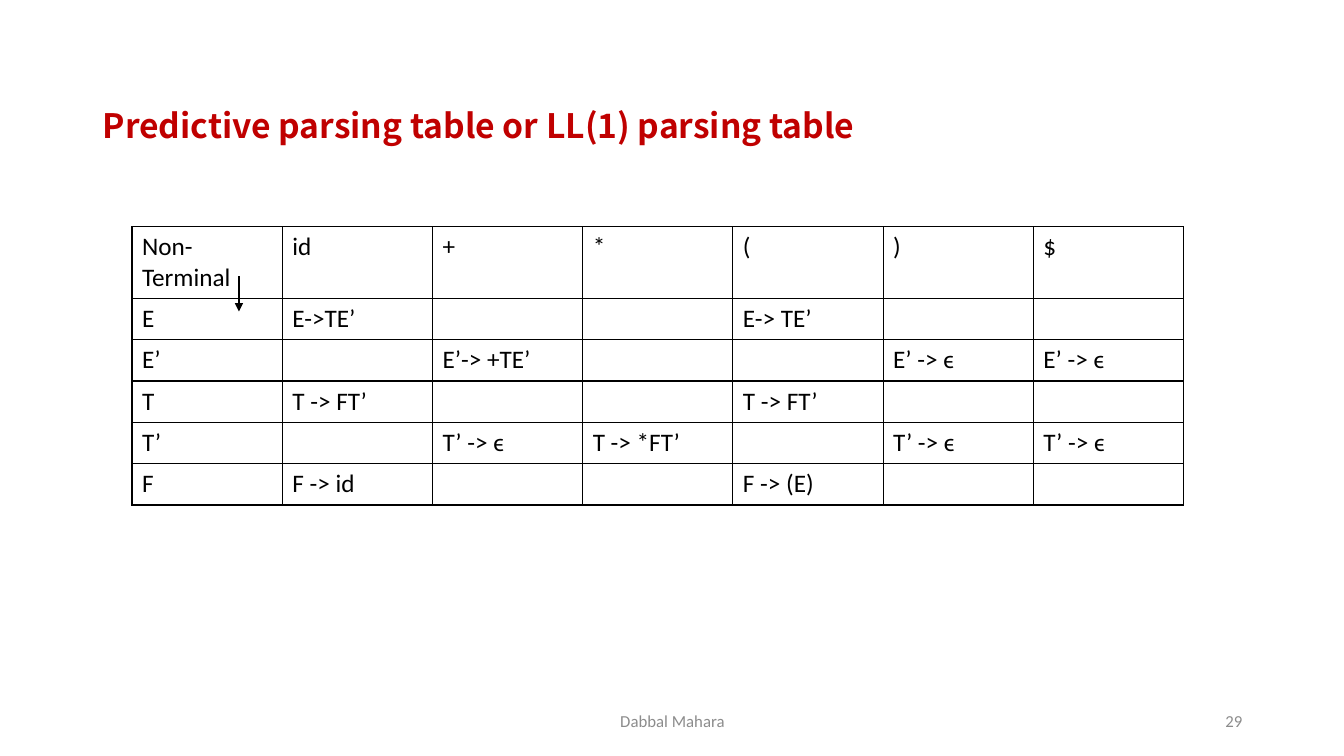
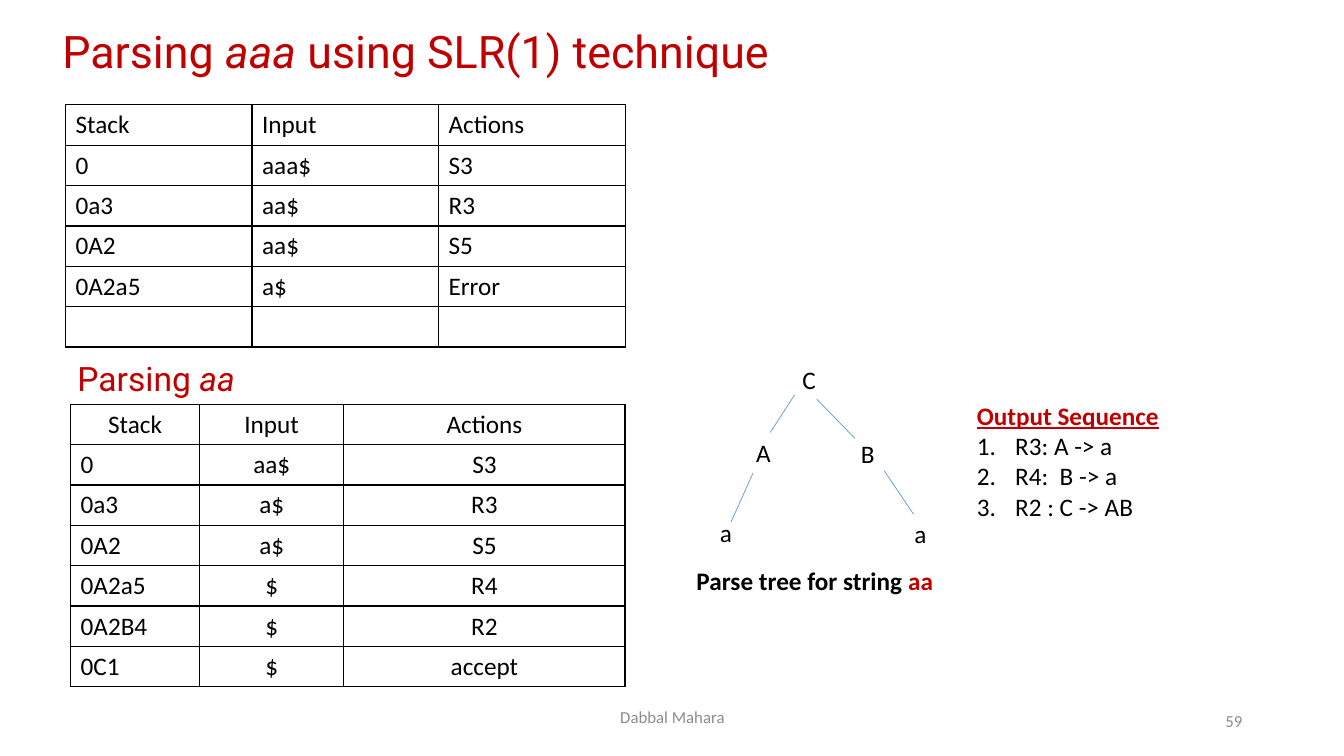
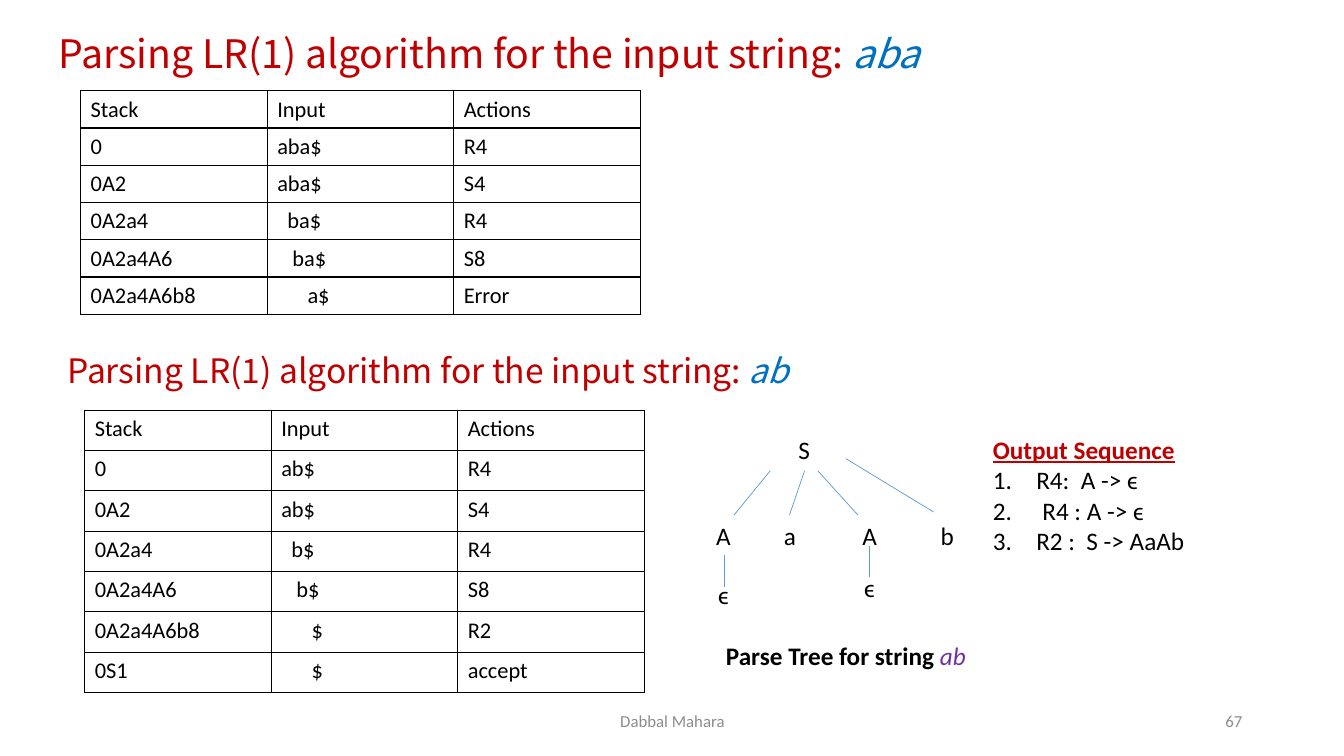
"""Build three slides on predictive, SLR(1) and LR(1) parsing."""
from dataclasses import dataclass, field

from lxml import etree
from pptx import Presentation
from pptx.dml.color import RGBColor
from pptx.enum.shapes import MSO_CONNECTOR
from pptx.enum.text import MSO_ANCHOR, PP_ALIGN
from pptx.oxml.ns import qn
from pptx.shapes.shapetree import GroupShapes, SlideShapes
from pptx.slide import Slide
from pptx.util import Inches, Pt

LEFT, CENTER, RIGHT = PP_ALIGN.LEFT, PP_ALIGN.CENTER, PP_ALIGN.RIGHT
TOP, MIDDLE = MSO_ANCHOR.TOP, MSO_ANCHOR.MIDDLE
STRAIGHT = MSO_CONNECTOR.STRAIGHT

BLACK, WHITE, RED = "000000", "FFFFFF", "C00000"
BLUE, PURPLE, GREY, BRANCH = "0070C0", "7030A0", "8C8C8C", "5B9BD5"
BODY, HEADING, ROBOTO = "Calibri", "Noto Sans CJK SC", "Roboto"
AUTHOR = "Dabbal Mahara"
TRACE_HEADER = ("Stack", "Input", "Actions")
TRACE_COLUMNS = (1.85,) * 3
LIST_INDENT = 0.38

Box = tuple[float, float, float, float]
Line = tuple[float, float, float, float]
Shapes = SlideShapes | GroupShapes


@dataclass(frozen=True)
class Run:
    text: str
    color: str = BLACK
    bold: bool = False
    italic: bool = False
    underline: bool = False


@dataclass(frozen=True)
class Style:
    font: str = BODY
    size: float = 18
    align: PP_ALIGN = LEFT
    anchor: MSO_ANCHOR = TOP
    spacing: float = 1.0


@dataclass(frozen=True)
class Grid:
    left: float
    top: float
    columns: tuple[float, ...]
    heights: tuple[float, ...]
    rows: tuple[tuple[str, ...], ...]
    size: float = 18
    header_align: PP_ALIGN = LEFT
    aligns: tuple[PP_ALIGN, ...] = ()
    input_indents: dict[int, float] = field(default_factory=dict)


@dataclass(frozen=True)
class Node:
    label: str
    left: float
    top: float


@dataclass(frozen=True)
class Tree:
    nodes: tuple[Node, ...]
    branches: tuple[Line, ...]
    node_width: float
    align: PP_ALIGN


@dataclass(frozen=True)
class Step:
    text: str
    indent: float = LIST_INDENT


def rgb(color: str) -> RGBColor:
    """Turn a hex string into a colour."""
    return RGBColor.from_string(color)


def write(paragraph, runs: tuple[Run, ...], style: Style) -> None:
    """Fill a paragraph with formatted runs."""
    paragraph.alignment = style.align
    paragraph.line_spacing = style.spacing
    for part in runs:
        run = paragraph.add_run()
        run.text = part.text
        font = run.font
        font.name, font.size = style.font, Pt(style.size)
        font.bold, font.italic, font.underline = part.bold, part.italic, part.underline
        font.color.rgb = rgb(part.color)


def indent(paragraph, margin: float, first_line: float = 0):
    """Indent a paragraph and return its properties element."""
    properties = paragraph._p.get_or_add_pPr()
    properties.set("marL", str(Inches(margin)))
    properties.set("indent", str(Inches(first_line)))
    return properties


def add_text(shapes: Shapes, box: Box, runs: tuple[Run, ...], style: Style = Style()):
    """Add a wrapping text box and return its text frame."""
    frame = shapes.add_textbox(*map(Inches, box)).text_frame
    frame.word_wrap = True
    frame.vertical_anchor = style.anchor
    write(frame.paragraphs[0], runs, style)
    return frame


def add_line(shapes: Shapes, ends: Line, color: str, width: float, arrow: bool = False) -> None:
    """Draw a straight line, with an arrowhead at its end if asked."""
    connector = shapes.add_connector(STRAIGHT, *map(Inches, ends))
    connector.line.color.rgb = rgb(color)
    connector.line.width = Pt(width)
    properties = connector.element.spPr
    if arrow:
        etree.SubElement(properties.find(qn("a:ln")), qn("a:tailEnd"), type="triangle")
    etree.SubElement(properties, qn("a:effectLst"))


def add_borders(cell) -> None:
    """Give a table cell thin black borders and a white fill."""
    properties = cell._tc.get_or_add_tcPr()
    for side in ("a:lnL", "a:lnR", "a:lnT", "a:lnB"):
        border = etree.SubElement(properties, qn(side), w=str(Pt(1)))
        fill = etree.SubElement(border, qn("a:solidFill"))
        etree.SubElement(fill, qn("a:srgbClr"), val=BLACK)
    cell.fill.solid()
    cell.fill.fore_color.rgb = rgb(WHITE)


def add_grid(slide: Slide, grid: Grid) -> None:
    """Draw a bordered table."""
    frame = slide.shapes.add_table(
        len(grid.rows), len(grid.columns), Inches(grid.left), Inches(grid.top),
        Inches(sum(grid.columns)), Inches(sum(grid.heights)))
    table = frame.table
    table.first_row = table.horz_banding = False
    for column, width in zip(table.columns, grid.columns):
        column.width = Inches(width)
    for row, height in zip(table.rows, grid.heights):
        row.height = Inches(height)
    for r, texts in enumerate(grid.rows):
        for c, text in enumerate(texts):
            cell = table.cell(r, c)
            add_borders(cell)
            if not text:
                continue
            align = grid.aligns[c] if r and grid.aligns else grid.header_align
            paragraph = cell.text_frame.paragraphs[0]
            write(paragraph, (Run(text),), Style(size=grid.size, align=align))
            if c == 1 and r in grid.input_indents:
                indent(paragraph, grid.input_indents[r])


def add_tree(slide: Slide, tree: Tree) -> None:
    """Draw a parse tree as one group of labels and branches."""
    shapes = slide.shapes.add_group_shape().shapes
    for node in tree.nodes:
        add_text(shapes, (node.left, node.top, tree.node_width, 0.4),
                 (Run(node.label),), Style(align=tree.align))
    for branch in tree.branches:
        add_line(shapes, branch, BRANCH, 0.5)


def add_output_sequence(slide: Slide, box: Box, steps: tuple[Step, ...]) -> None:
    """List the reductions under an underlined heading."""
    heading = Run("Output Sequence", RED, bold=True, underline=True)
    frame = add_text(slide.shapes, box, (heading,))
    for step in steps:
        paragraph = frame.add_paragraph()
        write(paragraph, (Run(step.text),), Style())
        properties = indent(paragraph, step.indent, -step.indent)
        etree.SubElement(properties, qn("a:buFont"), typeface=BODY)
        etree.SubElement(properties, qn("a:buAutoNum"), type="arabicPeriod")


def start_slide(deck, title: tuple[Run, ...], box: Box, font: str, size: float,
                number: int, author_top: float = 6.95) -> Slide:
    """Add a blank slide with its title, author and number."""
    slide = deck.slides.add_slide(deck.slide_layouts[6])
    add_text(slide.shapes, box, title, Style(font, size, anchor=MIDDLE, spacing=0.9))
    for text, left, top, width, align in (
            (AUTHOR, 4.42, author_top, 4.5, CENTER),
            (str(number), 9.42, 6.95, 3, RIGHT)):
        add_text(slide.shapes, (left, top, width, 0.4), (Run(text, GREY),),
                 Style(size=12, align=align, anchor=MIDDLE))
    return slide


def build_predictive(deck) -> None:
    """Build the LL(1) parsing table slide."""
    title = (Run("Predictive parsing table or LL(1) parsing table", RED, bold=True),)
    slide = start_slide(deck, title, (0.92, 0.85, 11.5, 0.84), HEADING, 24, 29)
    add_grid(slide, Grid(1.31, 2.25, (1.49,) * 7, (0.71,) + (0.41,) * 5, (
        ("Non-Terminal", "id", "+", "*", "(", ")", "$"),
        ("E", "E->TE’", "", "", "E-> TE’", "", ""),
        ("E’", "", "E’-> +TE’", "", "", "E’ -> ϵ", "E’ -> ϵ"),
        ("T", "T -> FT’", "", "", "T -> FT’", "", ""),
        ("T’", "", "T’ -> ϵ", "T -> *FT’", "", "T’ -> ϵ", "T’ -> ϵ"),
        ("F", "F -> id", "", "", "F -> (E)", "", ""))))
    add_line(slide.shapes, (2.37, 2.74, 2.37, 3.09), BLACK, 1.5, arrow=True)


def build_slr(deck) -> None:
    """Build the SLR(1) trace slide."""
    title = (Run("Parsing ", RED), Run("aaa", RED, italic=True),
             Run(" using SLR(1) technique", RED))
    slide = start_slide(deck, title, (0.52, 0.24, 11.5, 0.59), ROBOTO, 32, 59, 6.91)
    add_grid(slide, Grid(0.65, 1.04, TRACE_COLUMNS, (0.4,) * 6, (
        TRACE_HEADER,
        ("0", "aaa$", "S3"),
        ("0a3", "aa$", "R3"),
        ("0A2", "aa$", "S5"),
        ("0A2a5", "a$", "Error"),
        ("", "", ""))))
    add_grid(slide, Grid(0.7, 4.01, (1.28, 1.43, 2.79), (0.4,) * 7, (
        TRACE_HEADER,
        ("0", "aa$", "S3"),
        ("0a3", "a$", "R3"),
        ("0A2", "a$", "S5"),
        ("0A2a5", "$", "R4"),
        ("0A2B4", "$", "R2"),
        ("0C1", "$", "accept")),
        header_align=CENTER, aligns=(LEFT, CENTER, CENTER)))
    add_text(slide.shapes, (0.67, 3.5, 2.3, 0.5),
             (Run("Parsing ", RED), Run("aa", RED, italic=True)), Style(ROBOTO, 24))
    add_tree(slide, Tree(
        (Node("C", 7.86, 3.57), Node("A", 7.4, 4.29), Node("B", 8.44, 4.3),
         Node("a", 7.04, 5.08), Node("a", 8.97, 5.09)),
        ((7.88, 3.92, 7.64, 4.29), (8.1, 3.96, 8.48, 4.35),
         (7.47, 4.69, 7.25, 5.18), (8.77, 4.67, 9.06, 5.1)),
        0.49, LEFT))
    add_text(slide.shapes, (6.81, 5.56, 3.07, 0.4),
             (Run("Parse tree for string ", bold=True), Run("aa", RED, bold=True)))
    add_output_sequence(slide, (9.59, 3.92, 2.41, 1.31), (
        Step("R3: A -> a"), Step("R4:  B -> a"), Step("R2 : C -> AB")))


def build_lr(deck) -> None:
    """Build the LR(1) trace slide."""
    lead = Run("Parsing LR(1) algorithm for the input string: ", RED)
    slide = start_slide(deck, (lead, Run("aba", BLUE, italic=True)),
                        (0.48, 0.21, 11.5, 0.69), HEADING, 28, 67)
    add_grid(slide, Grid(0.8, 0.9, TRACE_COLUMNS, (0.37,) * 6, (
        TRACE_HEADER,
        ("0", "aba$", "R4"),
        ("0A2", "aba$", "S4"),
        ("0A2a4", "ba$", "R4"),
        ("0A2a4A6", "ba$", "S8"),
        ("0A2a4A6b8", "a$", "Error")),
        size=16, input_indents={3: 0.1, 4: 0.15, 5: 0.3}))
    add_text(slide.shapes, (0.57, 3.42, 8.85, 0.5),
             (lead, Run("ab", BLUE, italic=True)), Style(HEADING, 24))
    add_grid(slide, Grid(0.84, 4.07, TRACE_COLUMNS, (0.4,) * 7, (
        TRACE_HEADER,
        ("0", "ab$", "R4"),
        ("0A2", "ab$", "S4"),
        ("0A2a4", "b$", "R4"),
        ("0A2a4A6", "b$", "S8"),
        ("0A2a4A6b8", "$", "R2"),
        ("0S1", "$", "accept")),
        size=16, input_indents={3: 0.1, 4: 0.15, 5: 0.3, 6: 0.3}))
    add_tree(slide, Tree(
        (Node("S", 7.68, 4.26), Node("A", 6.88, 5.11), Node("a", 7.54, 5.11),
         Node("A", 8.33, 5.11), Node("b", 9.1, 5.11),
         Node("ϵ", 6.88, 5.7), Node("ϵ", 8.33, 5.63)),
        ((7.64, 4.67, 7.28, 5.11), (7.98, 4.67, 7.83, 5.11),
         (8.11, 4.67, 8.51, 5.11), (8.39, 4.55, 9.26, 5.08),
         (7.18, 5.51, 7.18, 5.82), (8.62, 5.42, 8.62, 5.72)),
        0.59, CENTER))
    add_text(slide.shapes, (6.56, 6.3, 3.66, 0.4),
             (Run("Parse Tree for string ", bold=True), Run("ab", PURPLE, italic=True)),
             Style(align=CENTER))
    add_output_sequence(slide, (9.75, 4.26, 2.54, 1.31), (
        Step("R4:  A -> ϵ", 0.43), Step("R4 : A -> ϵ", 0.49),
        Step("R2 :  S -> AaAb", 0.43)))


def main() -> None:
    """Build and save the deck."""
    deck = Presentation()
    deck.slide_width, deck.slide_height = Inches(13.33), Inches(7.5)
    build_predictive(deck)
    build_slr(deck)
    build_lr(deck)
    deck.save("out.pptx")


if __name__ == "__main__":
    main()
